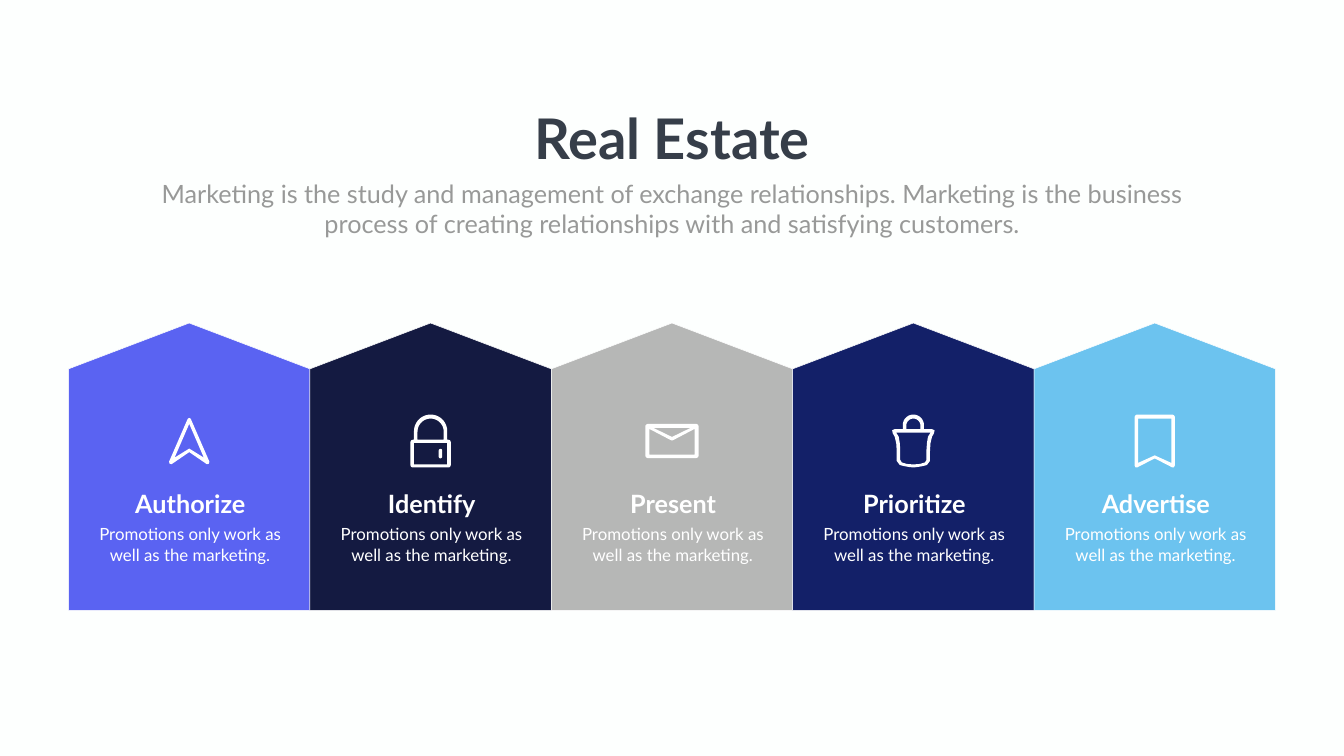
from math import cos, radians, sin

from pptx import Presentation
from pptx.dml.color import RGBColor
from pptx.enum.shapes import MSO_SHAPE
from pptx.enum.text import MSO_AUTO_SIZE, PP_ALIGN
from pptx.util import Inches, Pt

BACKGROUND = RGBColor(0xFD, 0xFF, 0xFE)
WHITE = RGBColor(0xFF, 0xFF, 0xFF)
SLATE = RGBColor(0x36, 0x3E, 0x49)
GRAY = RGBColor(0x98, 0x99, 0x98)
VIOLET = RGBColor(0x5A, 0x63, 0xF2)
MIDNIGHT = RGBColor(0x14, 0x1A, 0x41)
SILVER = RGBColor(0xB6, 0xB7, 0xB6)
NAVY = RGBColor(0x13, 0x20, 0x68)
SKY = RGBColor(0x6C, 0xC3, 0xEF)

TITLE = {"name": "Lato", "size": Pt(80), "bold": True}
SUBTITLE = {"name": "Lato", "size": Pt(36)}
HEADING = {"name": "Lato", "size": Pt(36), "bold": True}
BODY = {"name": "Lato", "size": Pt(24)}


def arc(center_x, center_y, radius, start, end):
    steps = 12
    angles = [radians(start + (end - start) * i / steps) for i in range(steps + 1)]
    return [(center_x + radius * cos(a), center_y + radius * sin(a)) for a in angles]


ARROW = (0.92, [
    [(0, 0), (0.03, 0.02), (0.4, 0.87), (0.39, 0.91), (0.35, 0.92), (0, 0.68)],
    [(0, 0.12), (0.29, 0.79), (0, 0.61)],
])
PADLOCK = (1.05, [
    [*arc(0, 0.33, 0.33, -90, 0), (0.33, 0.5), *arc(0.35, 0.55, 0.05, -90, 0),
     *arc(0.35, 1, 0.05, 0, 90)],
    [*arc(0, 0.34, 0.26, -90, 0), (0.26, 0.5)],
    [(0.33, 0.56), (0.33, 0.99)],
])
ENVELOPE = (0.68, [
    [*arc(0.47, 0.06, 0.06, -90, 0), *arc(0.47, 0.62, 0.06, 0, 90)],
    [(0.37, 0.08), (0, 0.26)],
    [(0.01, 0.33), (0.45, 0.1), (0.45, 0.61)],
])
BAG = (1.05, [
    [*arc(0, 0.21, 0.21, -90, 0), (0.21, 0.29), (0.37, 0.29), (0.42, 0.31),
     (0.41, 0.37), (0.37, 0.44), (0.34, 0.57), (0.33, 0.72), (0.33, 0.92),
     (0.27, 1), (0.2, 1.02), (0.09, 1.04), (0, 1.05)],
    [*arc(0, 0.22, 0.14, -90, 0), (0.14, 0.29)],
    [(0.34, 0.36), (0.29, 0.44), (0.27, 0.56), (0.26, 0.7), (0.26, 0.9),
     (0.23, 0.95), (0.13, 0.98), (0, 0.99)],
])
BOOKMARK = (1.05, [
    [*arc(0.34, 0.06, 0.06, -90, 0), (0.4, 1.01), (0.38, 1.05), (0.35, 1.05),
     (0, 0.87)],
    [(0.33, 0.08), (0.33, 0.96), (0, 0.81)],
])

STEPS = [
    ("Authorize", VIOLET, ARROW),
    ("Identify", MIDNIGHT, PADLOCK),
    ("Present", SILVER, ENVELOPE),
    ("Prioritize", NAVY, BAG),
    ("Advertise", SKY, BOOKMARK),
]


def fill_shape(shape, color):
    shape.shadow.inherit = False
    shape.fill.solid()
    shape.fill.fore_color.rgb = color
    shape.line.fill.background()


def add_symmetric(slide, center, top, right_halves, color):
    builder = None
    for half in right_halves:
        outline = half + [(-x, y) for x, y in reversed(half)]
        points = [(Inches(center + x), Inches(top + y)) for x, y in outline]
        if builder is None:
            builder = slide.shapes.build_freeform(*points[0])
        else:
            builder.move_to(*points[0])
        builder.add_line_segments(points[1:], close=True)
    shape = builder.convert_to_shape()
    fill_shape(shape, color)
    return shape


def add_label(slide, left, top, width, height, text, style, color, wrap=True):
    label = slide.shapes.add_textbox(*map(Inches, (left, top, width, height)))
    frame = label.text_frame
    frame.word_wrap = wrap
    frame.auto_size = MSO_AUTO_SIZE.SHAPE_TO_FIT_TEXT
    paragraph = frame.paragraphs[0]
    paragraph.alignment = PP_ALIGN.CENTER
    run = paragraph.add_run()
    run.text = text
    for key, value in style.items():
        setattr(run.font, key, value)
    run.font.color.rgb = color


def add_header(slide, left, top, width):
    add_label(slide, left + (width - 5.82) / 2, top, 5.82, 1.45,
              "Real Estate", TITLE, SLATE, wrap=False)
    add_label(slide, left, top + 1.49, width, 1.31,
              "Marketing is the study and management of exchange relationships. "
              "Marketing is the business process of creating relationships with "
              "and satisfying customers.", SUBTITLE, GRAY)


def add_house(slide, left, top, width, height, heading, color, icon):
    center = left + width / 2
    roof = [(0, 0), (width / 2, 0.91), (width / 2, height)]
    house = add_symmetric(slide, center, top, [roof], color)
    house.line.color.rgb = WHITE
    house.line.width = Pt(0.75)

    icon_height, contours = icon
    icon_top = top + 2.34 - icon_height / 2
    add_symmetric(slide, center, icon_top, contours, WHITE)
    if icon is PADLOCK:
        keyhole = slide.shapes.add_shape(
            MSO_SHAPE.ROUNDED_RECTANGLE,
            *map(Inches, (center + 0.16, icon_top + 0.68, 0.07, 0.19)))
        keyhole.adjustments[0] = 0.5
        fill_shape(keyhole, WHITE)

    add_label(slide, left + 1.11, top + 3.23, 2.61, 0.71, heading, HEADING, WHITE)
    add_label(slide, left + 0.4, top + 3.94, 4.02, 0.91,
              "Promotions only work as well as the marketing.", BODY, WHITE)


def add_house_row(slide, left, top, width, height):
    house_width = width / len(STEPS)
    for index, (heading, color, icon) in enumerate(STEPS):
        add_house(slide, left + index * house_width, top, house_width, height,
                  heading, color, icon)


def main():
    presentation = Presentation()
    presentation.slide_width = Inches(26.66)
    presentation.slide_height = Inches(15)
    slide = presentation.slides.add_slide(presentation.slide_layouts[6])
    slide.background.fill.solid()
    slide.background.fill.fore_color.rgb = BACKGROUND
    add_house_row(slide, 1.36, 6.41, 23.94, 5.7)
    add_header(slide, 2.92, 2, 20.82)
    presentation.save("out.pptx")


if __name__ == "__main__":
    main()
